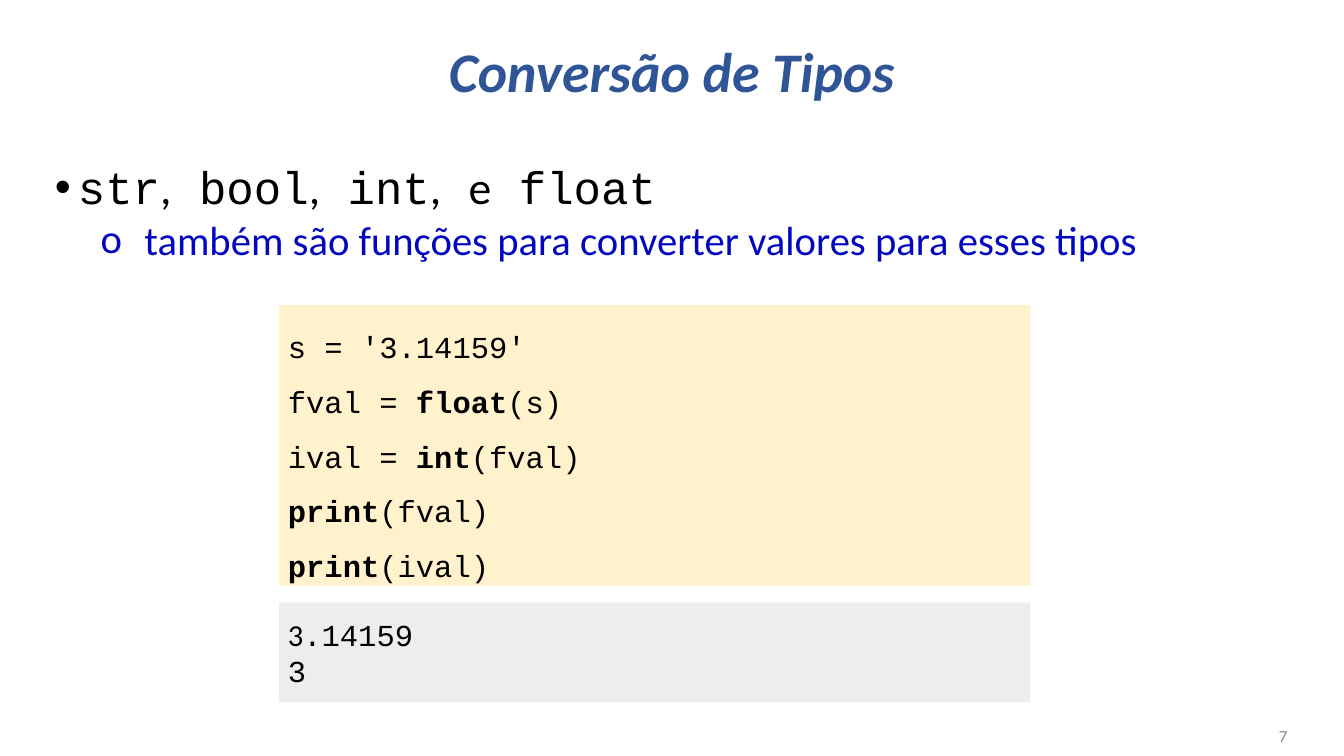
from lxml import etree
from pptx import Presentation
from pptx import util as u
from pptx.dml.color import RGBColor
from pptx.enum import shapes, text
from pptx.oxml.ns import qn

BLACK = RGBColor(0x00, 0x00, 0x00)
TITLE_BLUE = RGBColor(0x2F, 0x55, 0x97)
POINT_BLUE = RGBColor(0x02, 0x06, 0xBE)
CODE_CREAM = RGBColor(0xFF, 0xF2, 0xCC)
OUTPUT_GRAY = RGBColor(0xED, 0xED, 0xED)
NUMBER_GRAY = RGBColor(0x8B, 0x8B, 0x8B)
SANS, MONO = "Calibri", "Courier New"

PANEL_LEFT, PANEL_WIDTH = 7.75, 20.88
CODE = [
    [("s = '3.14159'", False)],
    [("fval = ", False), ("float", True), ("(s)", False)],
    [("ival = ", False), ("int", True), ("(fval)", False)],
    [("print", True), ("(fval)", False)],
    [("print", True), ("(ival)", False)],
]


def add_text(para, words, font=SANS, size=24, color=BLACK, bold=False, italic=False):
    span = para.add_run()
    span.text = words
    span.font.name = font
    span.font.size = u.Pt(size)
    span.font.color.rgb = color
    span.font.bold = bold
    span.font.italic = italic


def place(item, box):
    item.left, item.top, item.width, item.height = (u.Cm(length) for length in box)


def prepare(frame, anchor):
    frame.word_wrap = True
    frame.auto_size = text.MSO_AUTO_SIZE.NONE
    frame.vertical_anchor = anchor


def next_para(frame, index):
    return frame.paragraphs[0] if index == 0 else frame.add_paragraph()


def set_bullet(para, mark, font, left, hanging):
    props = para._p.get_or_add_pPr()
    props.set("marL", str(u.Cm(left)))
    props.set("indent", str(-u.Cm(hanging)))
    etree.SubElement(props, qn("a:buFont")).set("typeface", font)
    etree.SubElement(props, qn("a:buChar")).set("char", mark)


def fill_title(title, box):
    place(title, box)
    prepare(title.text_frame, text.MSO_ANCHOR.MIDDLE)
    para = title.text_frame.paragraphs[0]
    para.alignment = text.PP_ALIGN.CENTER
    para.line_spacing = 0.9
    add_text(para, "Conversão de Tipos", size=44, color=TITLE_BLUE, bold=True, italic=True)


def fill_body(body, box):
    place(body, box)
    frame = body.text_frame
    prepare(frame, text.MSO_ANCHOR.TOP)

    # Type names in monospace, punctuation in sans
    types = frame.paragraphs[0]
    types.line_spacing, types.space_before = 0.9, u.Pt(10)
    set_bullet(types, "•", "Arial", 0.64, 0.64)
    for words, font in [("str", MONO), (",", SANS), (" bool", MONO), (",", SANS),
                        (" int", MONO), (",", SANS), (" ", MONO), ("e", SANS),
                        (" float", MONO)]:
        add_text(types, words, font=font, size=36)

    # Sub-point
    point = frame.add_paragraph()
    point.level = 1
    point.line_spacing, point.space_before = 0.9, u.Pt(5)
    set_bullet(point, "o", SANS, 2.49, 1.22)
    add_text(point, "também são funções para converter valores para esses tipos",
             size=32, color=POINT_BLUE)


def add_panel(page, box, color, anchor):
    panel = page.shapes.add_shape(shapes.MSO_SHAPE.RECTANGLE, *(u.Cm(v) for v in box))
    panel.shadow.inherit = False
    panel.fill.solid()
    panel.fill.fore_color.rgb = color
    panel.line.fill.background()
    prepare(panel.text_frame, anchor)
    return panel.text_frame


def add_code(page, box):
    frame = add_panel(page, box, CODE_CREAM, text.MSO_ANCHOR.TOP)
    for index, line in enumerate(CODE):
        para = next_para(frame, index)
        para.alignment = text.PP_ALIGN.LEFT
        para.line_spacing = 1.5
        for words, bold in line:
            add_text(para, words, font=MONO, bold=bold)


def add_output(page, box):
    frame = add_panel(page, box, OUTPUT_GRAY, text.MSO_ANCHOR.MIDDLE)
    for index, line in enumerate([[("3", SANS), (".14159", MONO)], [("3", MONO)]]):
        para = next_para(frame, index)
        para.alignment = text.PP_ALIGN.LEFT
        for words, font in line:
            add_text(para, words, font=font)


def add_page_number(page, box):
    number = page.shapes.add_textbox(*(u.Cm(v) for v in box))
    prepare(number.text_frame, text.MSO_ANCHOR.MIDDLE)
    para = number.text_frame.paragraphs[0]
    para.alignment = text.PP_ALIGN.RIGHT
    add_text(para, "7", size=13.3, color=NUMBER_GRAY)


def main():
    deck = Presentation()
    deck.slide_width, deck.slide_height = u.Cm(37.34), u.Cm(21.01)
    page = deck.slides.add_slide(deck.slide_layouts[1])
    fill_title(page.shapes.title, (2.57, 0.05, 32.2, 4.06))
    fill_body(page.placeholders[1], (1.27, 4.45, 34.37, 16.18))
    add_output(page, (PANEL_LEFT, 16.74, PANEL_WIDTH, 2.77))
    add_code(page, (PANEL_LEFT, 8.48, PANEL_WIDTH, 7.8))
    add_page_number(page, (27.61, 19.89, 8.41, 1.12))
    deck.save("out.pptx")


if __name__ == "__main__":
    main()
